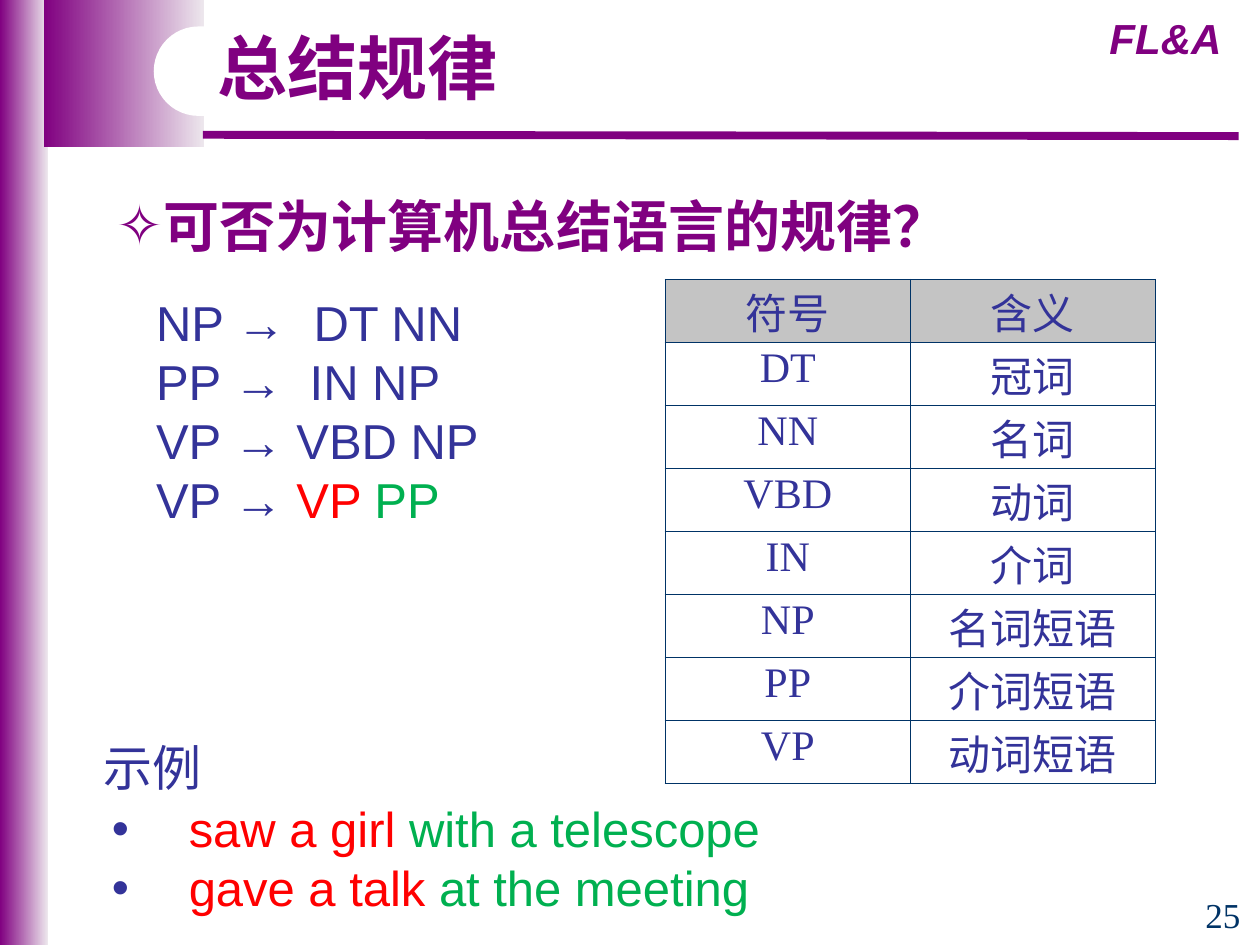
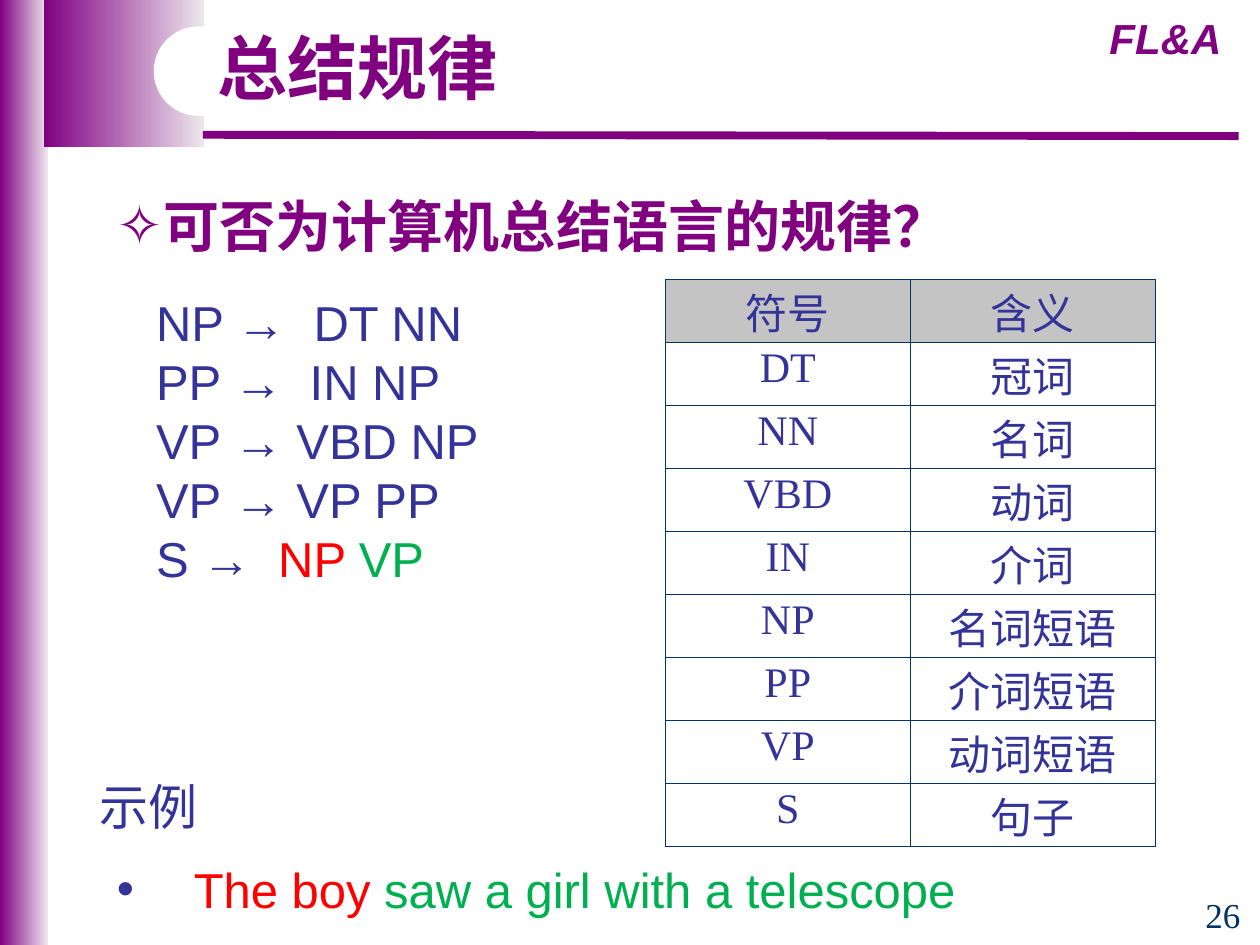
from pptx import Presentation
from pptx import util as u
from pptx.dml import color
from pptx.enum import shapes, text
from pptx.oxml import ns, xmlchemy
from lxml import etree

PURPLE, PALE, WHITE = "800080", "EDE7ED", "FFFFFF"
BLUE, NAVY, GREY = "333399", "003366", "C4C4C4"
RED, GREEN = "FF0000", "00B050"
CJK, SANS, SERIF = "Noto Sans CJK SC", "Arial", "Times New Roman"
CENTER = text.PP_ALIGN.CENTER
TOP, MIDDLE = text.MSO_ANCHOR.TOP, text.MSO_ANCHOR.MIDDLE

SYMBOLS = [("符号", "含义"), ("DT", "冠词"), ("NN", "名词"), ("VBD", "动词"), ("IN", "介词"),
           ("NP", "名词短语"), ("PP", "介词短语"), ("VP", "动词短语")]
RULES = [("NP →\tDT NN", 1.25), ("PP →\tIN NP", 1.22), ("VP → VBD NP", None)]


def rgb(value):
    """Turn a hex string into a colour."""
    return color.RGBColor.from_string(value)


def add_child(parent, tag, **attributes):
    """Append a drawing element with the given attributes."""
    return etree.SubElement(parent, ns.qn(tag), attributes)


def write(para, content, size=28, font=SANS, ink=BLUE, bold=False, italic=False):
    """Add one formatted run of text to a paragraph."""
    span = para.add_run()
    span.text = content
    span.font.size = u.Pt(size)
    span.font.name = font
    span.font.bold, span.font.italic = bold, italic
    span.font.color.rgb = rgb(ink)
    add_child(span.font._element, "a:ea", typeface=CJK)


def add_box(page, left, top, width, height, anchor=MIDDLE):
    """Add an empty wrapping text box and return its frame."""
    frame = page.shapes.add_textbox(*map(u.Inches, (left, top, width, height))).text_frame
    frame.word_wrap = True
    frame.vertical_anchor = anchor
    return frame


def add_label(page, content, place, align=None, spacing=0.9, **style):
    """Add a text box holding one line and return its paragraph."""
    para = add_box(page, *place).paragraphs[0]
    para.alignment, para.line_spacing = align, spacing
    write(para, content, **style)
    return para


def set_bullet(para, mark, indent, ink):
    """Give a paragraph a coloured bullet and a hanging indent."""
    props = para._p.get_or_add_pPr()
    distance = u.Inches(indent)
    props.set("marL", str(distance))
    props.set("indent", str(-distance))
    add_child(add_child(props, "a:buClr"), "a:srgbClr", val=ink)
    add_child(props, "a:buFont", typeface=SANS)
    add_child(props, "a:buChar", char=mark)


def set_tab(para, position):
    """Give a paragraph one left tab stop."""
    stops = add_child(para._p.get_or_add_pPr(), "a:tabLst")
    add_child(stops, "a:tab", pos=str(u.Inches(position)), algn="l")


def add_paragraphs(frame, count):
    """Return the given number of evenly spaced paragraphs."""
    paras = [frame.paragraphs[0]] + [frame.add_paragraph() for _ in range(count - 1)]
    for para in paras:
        para.line_spacing = u.Pt(33.7)
    return paras


def add_panel(page, kind, *place):
    """Add a shape without outline or shadow."""
    panel = page.shapes.add_shape(kind, *map(u.Inches, place))
    panel.shadow.inherit = False
    panel.line.fill.background()
    return panel


def add_gradient(page, *place):
    """Add a rectangle fading from purple to pale."""
    fill = add_panel(page, shapes.MSO_SHAPE.RECTANGLE, *place).fill
    fill.gradient()
    fill.gradient_angle = 0
    for stop, ink, position in zip(fill.gradient_stops, (PURPLE, PALE), (0, 1)):
        stop.color.rgb, stop.position = rgb(ink), position


def add_frame(page, number):
    """Draw the bands, rule, titles and page number shared by the slides."""
    add_gradient(page, 0, 0, 0.38, 7.5)
    add_gradient(page, 0.35, 0, 1.27, 1.17)
    rule = page.shapes.add_connector(shapes.MSO_CONNECTOR.STRAIGHT,
                                     *map(u.Inches, (1.61, 1.07, 9.83, 1.08)))
    rule.line.color.rgb, rule.line.width = rgb(PURPLE), u.Pt(4.5)
    add_child(rule._element.spPr, "a:effectLst")
    add_label(page, "FL&A", (8.62, 0.05, 1.26, 0.5), CENTER, 1.0,
              size=24, ink=PURPLE, bold=True, italic=True)
    tab = add_panel(page, shapes.MSO_SHAPE.ROUNDED_RECTANGLE, 1.22, 0.21, 3.62, 0.71)
    tab.adjustments[0] = 0.5
    tab.fill.solid()
    tab.fill.fore_color.rgb = rgb(WHITE)
    heading = dict(font=CJK, ink=PURPLE, bold=True)
    add_label(page, "总结规律", (1.63, 0.21, 4.24, 0.72), size=40, **heading)
    question = add_label(page, "可否为计算机总结语言的规律？", (0.83, 1.47, 8.67, 0.64),
                         spacing=1.0, size=32, **heading)
    set_bullet(question, "✧", 0.35, PURPLE)
    add_label(page, str(number), (9.41, 7.08, 0.59, 0.4), CENTER,
              size=20, font=SERIF, ink=NAVY)


def add_rules(page, rules, last):
    """List the grammar rules, the last one with coloured parts."""
    start, stop, first, second = last
    paras = add_paragraphs(add_box(page, 1.14, 2.27, 4.1, 2.45, TOP), len(rules) + 1)
    for para, (rule, position) in zip(paras, rules + [(start, stop)]):
        if position:
            set_tab(para, position)
        write(para, rule)
    write(paras[-1], first + " ", ink=RED)
    write(paras[-1], second, ink=GREEN)


def add_examples(page, label_place, place, examples):
    """Add the example label and its bulleted two-colour phrases."""
    paras = add_paragraphs(add_box(page, *place, TOP), len(examples))
    for para, (first, second) in zip(paras, examples):
        set_bullet(para, "•", 0.61, BLUE)
        write(para, first + " ", ink=RED)
        write(para, second, ink=GREEN)
    add_label(page, "示例", label_place, CENTER, font=SERIF)


def set_borders(cell):
    """Draw a thin navy line on the four sides of a cell."""
    props = cell._tc.get_or_add_tcPr()
    for index, side in enumerate(("a:lnL", "a:lnR", "a:lnT", "a:lnB")):
        line = etree.Element(ns.qn(side), w=str(u.Pt(1)))
        add_child(add_child(line, "a:solidFill"), "a:srgbClr", val=NAVY)
        props.insert(index, line)


def add_symbols(page, rows):
    """Add the table of symbols and their meanings."""
    height = 0.5 * len(rows)
    grid = page.shapes.add_table(len(rows), 2, *map(u.Inches, (5.28, 2.22, 3.89, height))).table
    grid.first_row = grid.horz_banding = False
    for row, entries in enumerate(rows):
        for column, entry in enumerate(entries):
            cell = grid.cell(row, column)
            if row == 0:
                cell.fill.solid()
                cell.fill.fore_color.rgb = rgb(GREY)
            else:
                cell.fill.background()
            set_borders(cell)
            para = cell.text_frame.paragraphs[0]
            para.alignment, para.line_spacing = CENTER, 0.9
            write(para, entry, size=24, font=SERIF)


def main():
    """Build the two slides and save the deck."""
    deck = Presentation()
    deck.slide_width, deck.slide_height = u.Inches(10), u.Inches(7.5)
    blank = deck.slide_layouts[6]

    page = deck.slides.add_slide(blank)
    add_frame(page, 25)
    add_rules(page, RULES, ("VP → ", None, "VP", "PP"))
    add_symbols(page, SYMBOLS)
    add_examples(page, (0.03, 5.85, 2.36, 0.53), (0.79, 6.29, 6.3, 1.03),
                 [("saw a girl", "with a telescope"), ("gave a talk", "at the meeting")])

    page = deck.slides.add_slide(blank)
    add_frame(page, 26)
    add_rules(page, RULES + [("VP → VP PP", None)], ("S →\t", 0.97, "NP", "VP"))
    add_symbols(page, SYMBOLS + [("S", "句子")])
    add_examples(page, (0, 6.16, 2.36, 0.53), (0.83, 6.77, 7.32, 0.56),
                 [("The boy", "saw a girl with a telescope")])
    deck.save("out.pptx")


if __name__ == "__main__":
    main()
